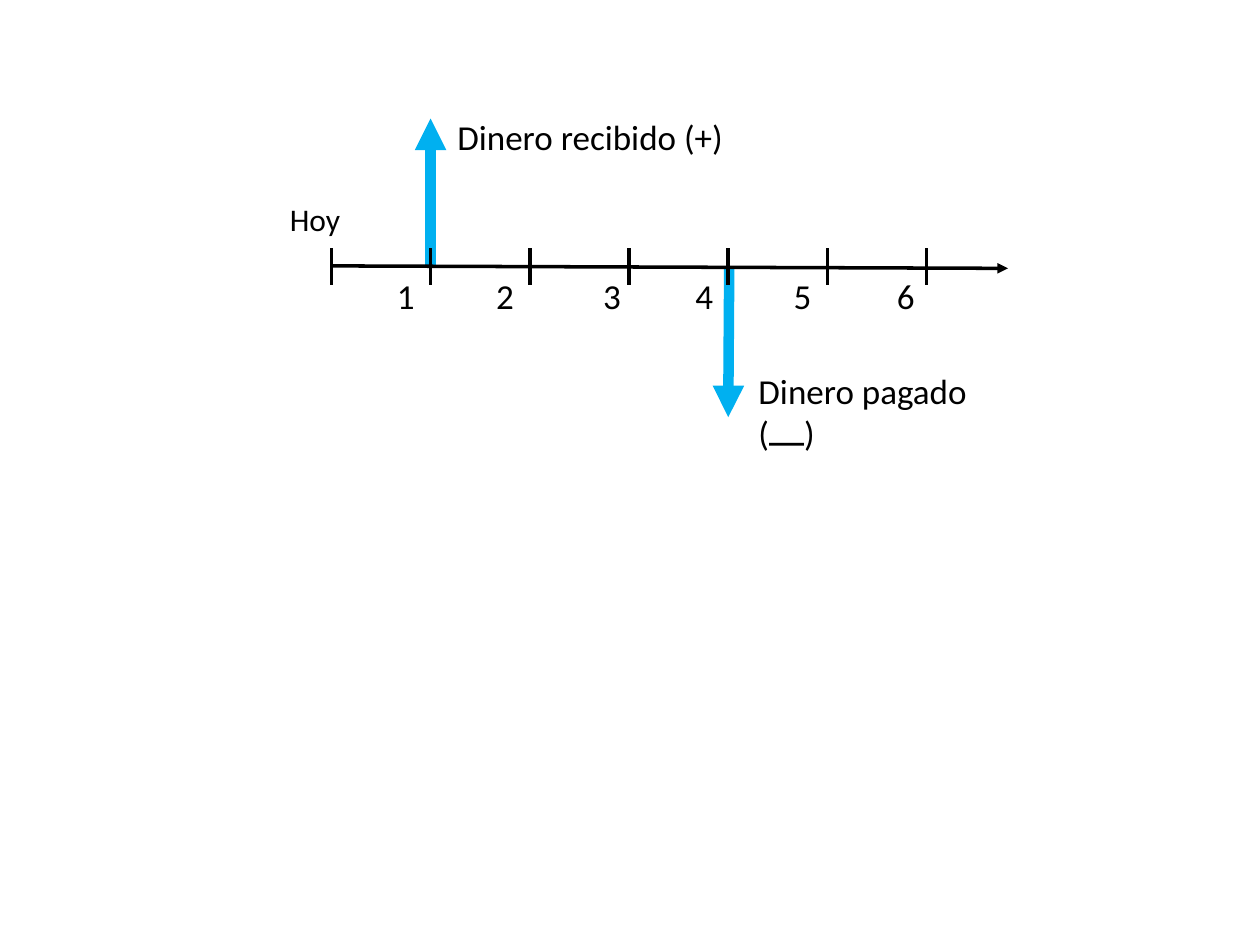
from lxml import etree
from pptx import Presentation
from pptx.dml.color import RGBColor
from pptx.enum.shapes import MSO_CONNECTOR
from pptx.enum.text import MSO_AUTO_SIZE, PP_ALIGN
from pptx.oxml.ns import qn
from pptx.util import Cm, Pt

STRAIGHT = MSO_CONNECTOR.STRAIGHT
GROW = MSO_AUTO_SIZE.SHAPE_TO_FIT_TEXT
LEFT, RIGHT = PP_ALIGN.LEFT, PP_ALIGN.RIGHT

COLORS = {"cash": "00B0F0", "ink": "000000"}

AXIS_START = 6.68
PERIOD = 2.0
TICK_TOP, TICK_BOTTOM = 5.0, 5.74
PERIOD_LABEL_LEFTS = [7.75, 9.75, 11.91, 13.77, 15.75, 17.83]


def period_x(period):
    return AXIS_START + PERIOD * period


def add_line(slide, start, end, color, width, arrow=False):
    points = [Cm(value) for value in (*start, *end)]
    connector = slide.shapes.add_connector(STRAIGHT, *points)
    connector.line.color.rgb = RGBColor.from_string(COLORS[color])
    connector.line.width = Pt(width)
    if arrow:
        line = connector.line._get_or_add_ln()
        etree.SubElement(line, qn("a:tailEnd"), type="triangle")
    etree.SubElement(connector._element.spPr, qn("a:effectLst"))


def add_label(slide, text, left, top, width, height=1.11, size=20,
              alignment=LEFT, wrap=False):
    box = slide.shapes.add_textbox(Cm(left), Cm(top), Cm(width), Cm(height))
    frame = box.text_frame
    frame.word_wrap = wrap
    frame.auto_size = GROW
    paragraph = frame.paragraphs[0]
    paragraph.text = text
    paragraph.alignment = alignment
    font = paragraph.runs[0].font
    for name, value in {"name": "Calibri", "size": Pt(size)}.items():
        setattr(font, name, value)
    font.color.rgb = RGBColor.from_string(COLORS["ink"])


def add_cash_flows(slide):
    paid, received = period_x(4), period_x(1)
    add_line(slide, (paid + 0.02, 5.41), (paid, 8.41), "cash", 6, arrow=True)
    add_line(slide, (received, 5.36), (received, 2.39), "cash", 6, arrow=True)


def add_timeline(slide):
    add_line(slide, (AXIS_START, 5.36), (20.32, 5.41), "ink", 2, arrow=True)
    for period in range(len(PERIOD_LABEL_LEFTS) + 1):
        x = period_x(period)
        add_line(slide, (x, TICK_BOTTOM), (x, TICK_TOP), "ink", 2)
    for period, left in enumerate(PERIOD_LABEL_LEFTS, start=1):
        add_label(slide, str(period), left, 5.41, 0.86)


def main():
    presentation = Presentation()
    presentation.slide_width = Cm(25.4)
    presentation.slide_height = Cm(19.05)
    slide = presentation.slides.add_slide(presentation.slide_layouts[6])
    add_cash_flows(slide)
    add_timeline(slide)
    add_label(slide, "Hoy", 5.56, 3.91, 1.55, height=1.02, size=18, alignment=RIGHT)
    add_label(slide, "Dinero recibido (+)", 8.97, 2.21, 5.92)
    add_label(slide, "Dinero pagado (⎼)", 15.04, 7.32, 5.72, wrap=True)
    presentation.save("out.pptx")


if __name__ == "__main__":
    main()
